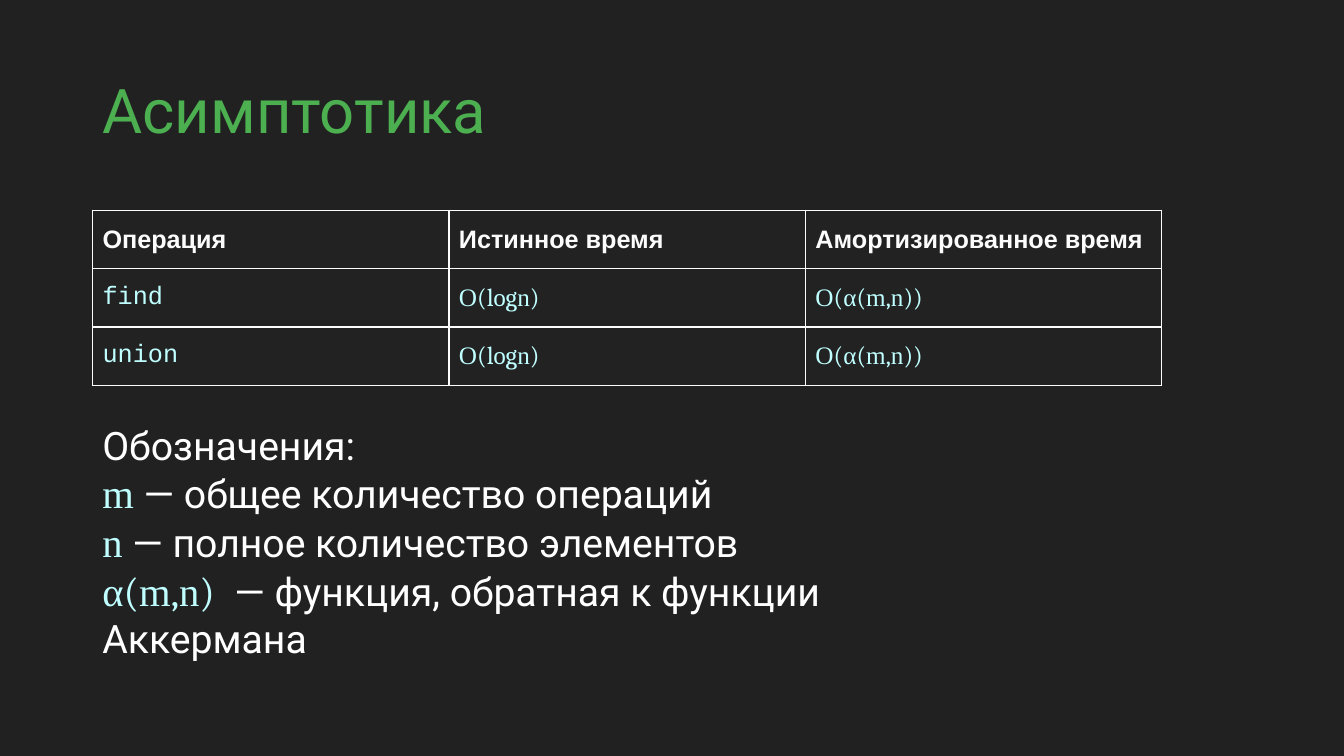
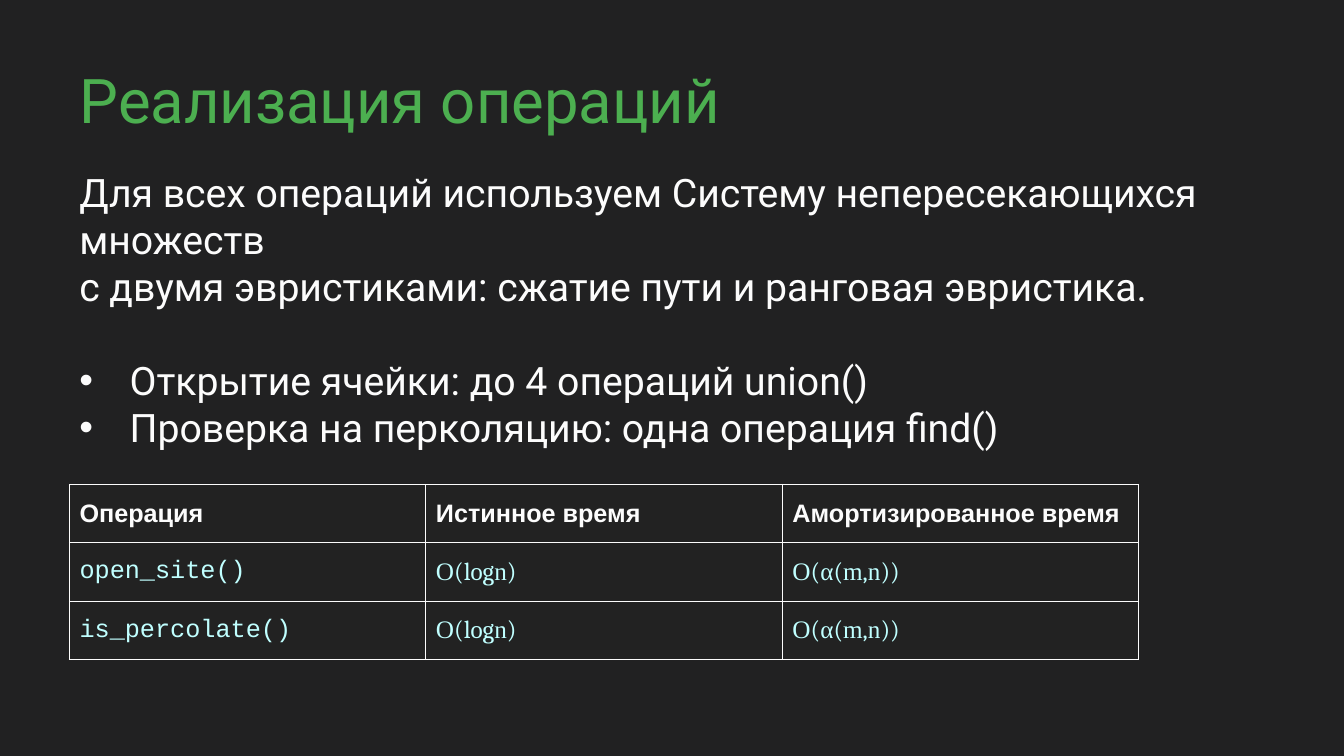
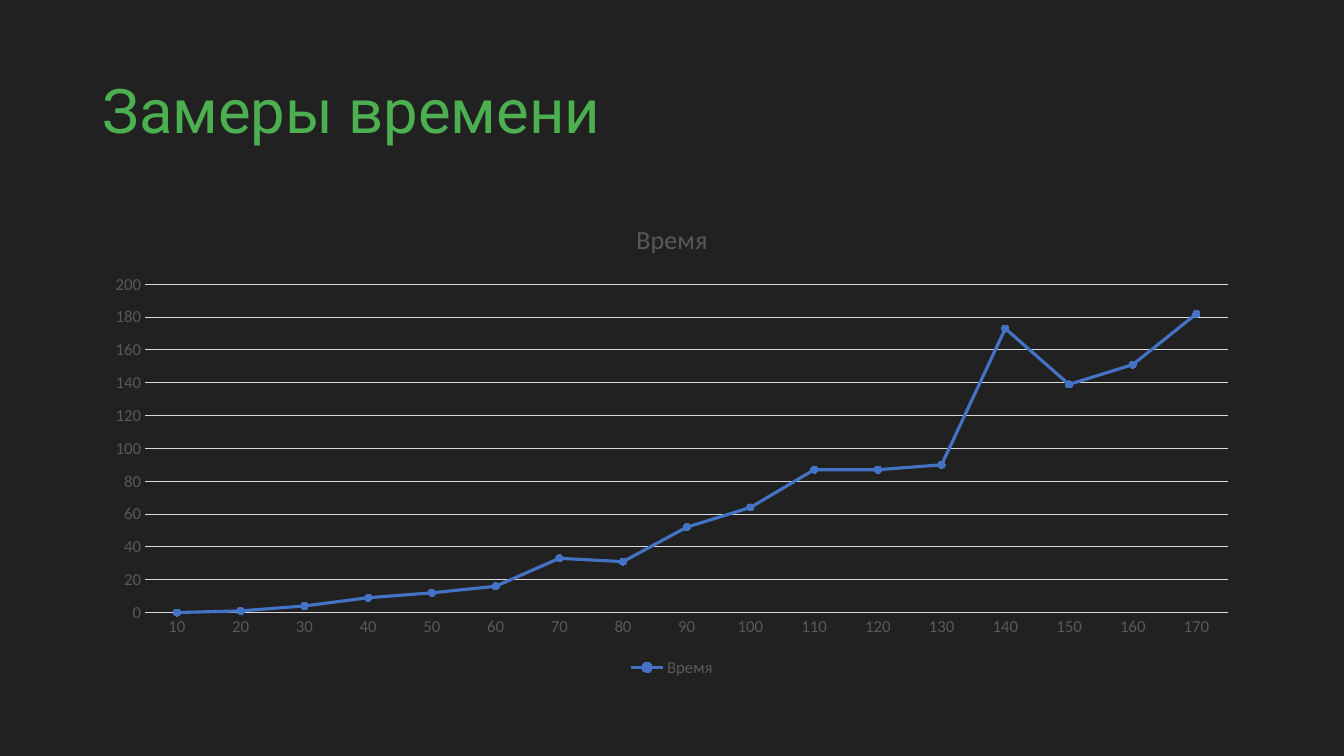
from itertools import groupby

from lxml.etree import SubElement
from pptx import Presentation
from pptx.chart.data import CategoryChartData
from pptx.dml.color import RGBColor
from pptx.enum.chart import XL_CHART_TYPE as ChartType
from pptx.enum.chart import XL_LEGEND_POSITION as LegendPosition
from pptx.enum.chart import XL_MARKER_STYLE as MarkerStyle
from pptx.enum.chart import XL_TICK_MARK as TickMark
from pptx.enum.text import MSO_ANCHOR as Anchor
from pptx.enum.text import PP_ALIGN as Align
from pptx.oxml.ns import qn
from pptx.util import Cm, Pt

# Shared style
COLORS = {
    "background": "212122",
    "cell": "222222",
    "title": "4CAF50",
    "text": "FCFCFC",
    "white": "FFFFFF",
    "code": "C0FFFF",
    "series": "4472C4",
    "grid": "D9D9D9",
    "label": "595959",
}
BODY_FONT = "Roboto"
LEFT = 2.33
NARROW_LEFT = 1.75
MATH_LETTERS = "Omnα"
TABLE_HEAD = ["Операция", "Истинное время", "Амортизированное время"]
TABLE_TIMES = ["O(logn)", "O(α(m,n))"]


def rgb(name):
    return RGBColor.from_string(COLORS[name])


def set_font(font, name, size, color, bold=False):
    font.name = name
    font.size = Pt(size)
    font.bold = bold
    font.color.rgb = rgb(color)


def add_span(para, text, font=BODY_FONT, size=28, color="white", bold=False):
    span = para.add_run()
    span.text = text
    set_font(span.font, font, size, color, bold)


def add_formula(para, formula, size):
    """Variables are set in one serif font, all other signs in another."""
    for is_letter, signs in groupby(formula, lambda sign: sign in MATH_LETTERS):
        font = "Times New Roman" if is_letter else "Cambria"
        add_span(para, "".join(signs), font=font, size=size, color="code")


def add_page(deck, title, left=LEFT, top=1.02):
    page = deck.slides.add_slide(deck.slide_layouts[5])
    box = page.shapes.title
    box.left, box.top, box.width, box.height = Cm(left), Cm(top), Cm(29.21), Cm(3.68)
    box.text_frame.vertical_anchor = Anchor.MIDDLE
    para = box.text_frame.paragraphs[0]
    para.alignment = Align.LEFT
    para.line_spacing = 0.9
    add_span(para, title, size=44, color="title")
    return page


def add_text_box(page, left, top, width, height):
    frame = page.shapes.add_textbox(Cm(left), Cm(top), Cm(width), Cm(height)).text_frame
    frame.word_wrap = True
    return frame


def next_para(frame, number):
    return frame.add_paragraph() if number else frame.paragraphs[0]


def set_bullet(para):
    properties = para._p.get_or_add_pPr()
    properties.set("marL", str(Cm(1.27)))
    properties.set("indent", str(-Cm(1.27)))
    SubElement(properties, qn("a:buFont"), typeface="Arial")
    SubElement(properties, qn("a:buChar"), char="•")


def set_borders(cell):
    properties = cell._tc.get_or_add_tcPr()
    for side in ("lnL", "lnR", "lnT", "lnB"):
        line = SubElement(properties, qn(f"a:{side}"), w=str(Pt(1)))
        fill = SubElement(line, qn("a:solidFill"))
        SubElement(fill, qn("a:srgbClr"), val=COLORS["text"])


def add_times_table(page, left, top, operations):
    rows = [TABLE_HEAD] + [[name] + TABLE_TIMES for name in operations]
    table = page.shapes.add_table(
        len(rows), len(TABLE_HEAD), Cm(left), Cm(top), Cm(26.95), Cm(1.47 * len(rows))
    ).table
    table.first_row = table.horz_banding = False
    for row_number, row in enumerate(rows):
        for column_number, text in enumerate(row):
            cell = table.cell(row_number, column_number)
            set_borders(cell)
            cell.fill.solid()
            cell.fill.fore_color.rgb = rgb("cell")
            cell.vertical_anchor = Anchor.MIDDLE
            para = cell.text_frame.paragraphs[0]
            if row_number == 0:
                add_span(para, text, font="Arial", size=18, color="text", bold=True)
            elif column_number == 0:
                add_span(para, text, font="Courier New", size=18, color="code")
            else:
                add_formula(para, text, size=18)


def add_time_chart(page, name, sizes, times):
    data = CategoryChartData()
    data.categories = sizes
    data.add_series(name, times)
    chart = page.shapes.add_chart(
        ChartType.LINE_MARKERS, Cm(LEFT), Cm(5.08), Cm(29.21), Cm(12.09), data
    ).chart
    set_font(chart.font, "Calibri", 12, "label")

    # Title and legend
    chart.has_title = True
    chart.chart_title.include_in_layout = False
    add_span(chart.chart_title.text_frame.paragraphs[0], name,
             font="Calibri", size=18.6, color="label")
    chart.has_legend = True
    chart.legend.position = LegendPosition.BOTTOM
    chart.legend.include_in_layout = False
    set_font(chart.legend.font, "Calibri", 12, "label")

    # Axes
    value_axis, category_axis = chart.value_axis, chart.category_axis
    for axis in (value_axis, category_axis):
        axis.major_tick_mark = axis.minor_tick_mark = TickMark.NONE
        set_font(axis.tick_labels.font, "Calibri", 12, "label")
    value_axis.minimum_scale, value_axis.maximum_scale = 0, 200
    value_axis.major_unit = 20
    value_axis.format.line.fill.background()
    for line in (value_axis.major_gridlines.format.line, category_axis.format.line):
        line.color.rgb = rgb("grid")
        line.width = Pt(0.75)

    # Series
    chart.plots[0].vary_by_categories = False
    series = chart.plots[0].series[0]
    series.smooth = False
    series.format.line.color.rgb = rgb("series")
    series.format.line.width = Pt(2.25)
    marker = series.marker
    marker.style, marker.size = MarkerStyle.CIRCLE, 5
    marker.format.fill.solid()
    marker.format.fill.fore_color.rgb = rgb("series")
    marker.format.line.color.rgb = rgb("series")


def build_asymptotics(deck):
    page = add_page(deck, "Асимптотика")
    add_times_table(page, LEFT, 5.3, ["find", "union"])
    frame = add_text_box(page, LEFT, 10.31, 23.19, 5.94)
    frame.margin_top = Cm(0.3)
    notation = [
        ("", "Обозначения:"),
        ("m", " — общее количество операций"),
        ("n", " — полное количество элементов"),
        ("α(m,n)", "  — функция, обратная к функции Аккермана"),
    ]
    for number, (formula, meaning) in enumerate(notation):
        para = next_para(frame, number)
        add_formula(para, formula, size=29)
        add_span(para, meaning)


def build_operations(deck):
    page = add_page(deck, "Реализация операций", left=NARROW_LEFT, top=0.76)
    frame = add_text_box(page, NARROW_LEFT, 4.11, 31.34, 6.25)
    intro = [
        "Для всех операций используем Систему непересекающихся множеств",
        "с двумя эвристиками: сжатие пути и ранговая эвристика.",
    ]
    bullets = [
        "Открытие ячейки: до 4 операций union()",
        "Проверка на перколяцию: одна операция find()",
    ]
    for number, text in enumerate(intro + bullets):
        para = next_para(frame, number)
        add_span(para, text, color="text")
        if number == len(intro):
            para.space_before = Pt(33.6)
        if number >= len(intro):
            set_bullet(para)
    add_times_table(page, NARROW_LEFT, 12.21, ["open_site()", "is_percolate()"])


def build_measurements(deck):
    page = add_page(deck, "Замеры времени")
    times = [0, 1, 4, 9, 12, 16, 33, 31, 52, 64, 87, 87, 90, 173, 139, 151, 182]
    sizes = [str(10 * step) for step in range(1, len(times) + 1)]
    add_time_chart(page, "Время", sizes, times)


def main():
    deck = Presentation()
    deck.slide_width, deck.slide_height = Cm(33.87), Cm(19.05)
    background = deck.slide_master.background.fill
    background.solid()
    background.fore_color.rgb = rgb("background")
    build_asymptotics(deck)
    build_operations(deck)
    build_measurements(deck)
    deck.save("out.pptx")


if __name__ == "__main__":
    main()
